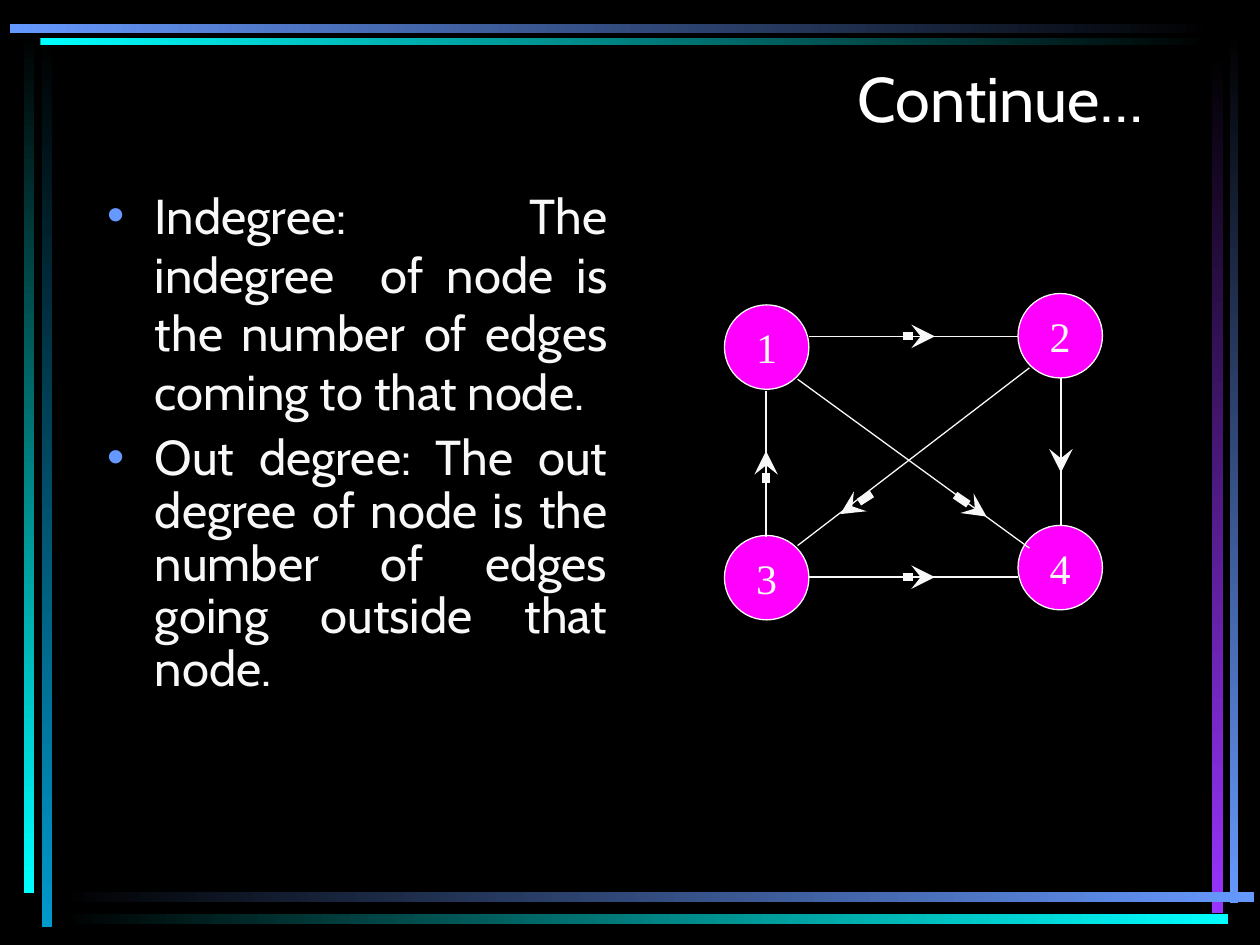
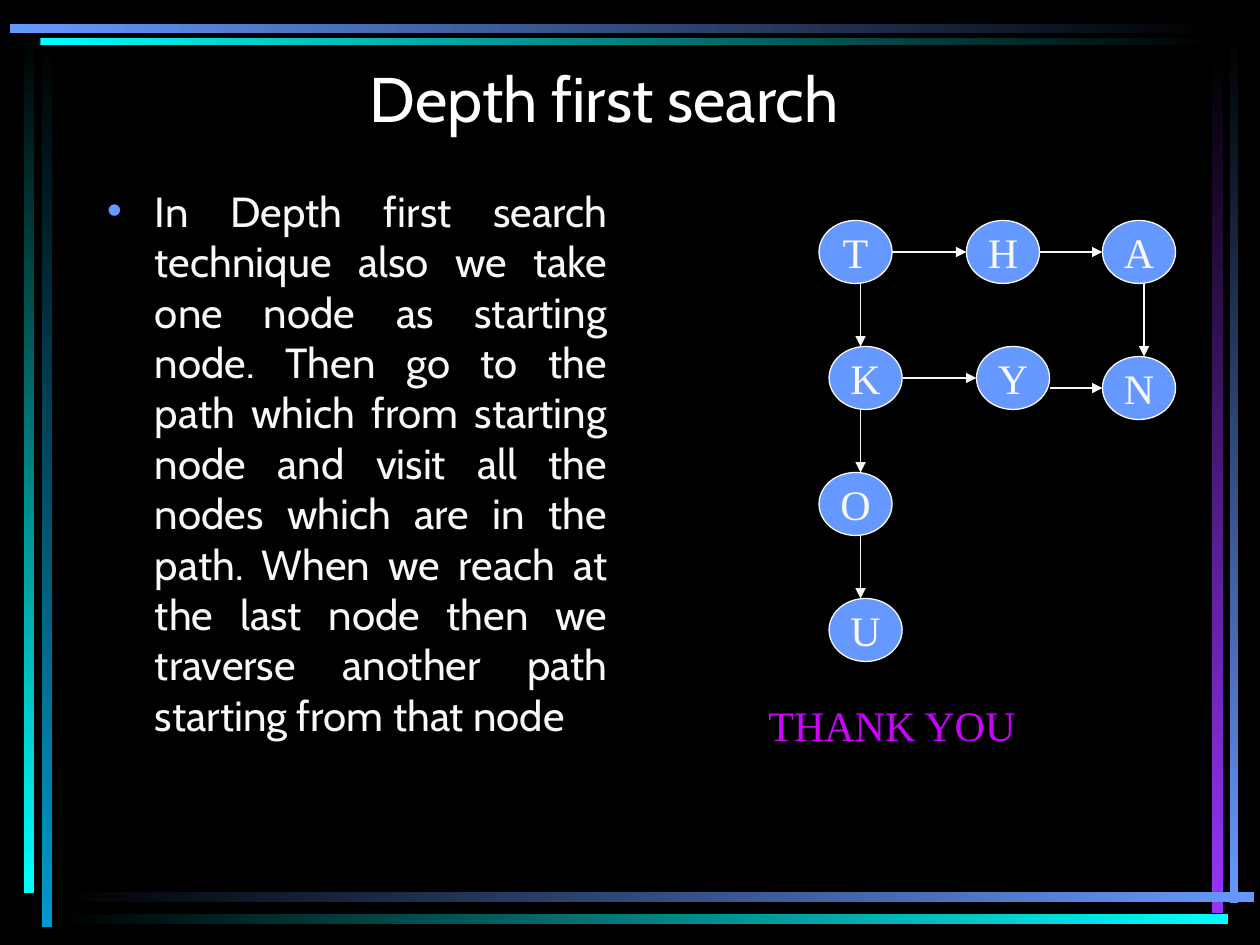
"""Build two slides on graph degrees and depth first search."""
import lxml.etree
import pptx
import pptx.dml.color
import pptx.enum.shapes
import pptx.enum.text
import pptx.oxml.ns
import pptx.util

Inches = pptx.util.Inches
Pt = pptx.util.Pt
ALIGN = pptx.enum.text.PP_ALIGN
SHAPE = pptx.enum.shapes.MSO_SHAPE
BLACK, WHITE, PALE = "000000", "FFFFFF", "F8F8F8"
BLUE, CYAN, TEAL = "6699FF", "00FFFF", "0099CC"
PURPLE, PINK, VIOLET = "9933FF", "FF00FF", "CC00FF"
SANS, SERIF = "Cabin", "Times New Roman"
DOWN, RIGHT = 270, 0
BANDS = [
    (0.33, 0.28, 0.08, 7.08, BLACK, TEAL, DOWN),
    (0.19, 0.25, 0.08, 6.84, BLACK, CYAN, DOWN),
    (9.76, 0.24, 0.07, 6.93, BLACK, BLUE, DOWN),
    (9.62, 0.42, 0.09, 6.83, BLACK, PURPLE, DOWN),
    (0.45, 7.08, 9.5, 0.08, BLACK, BLUE, RIGHT),
    (0.45, 7.25, 9.3, 0.08, BLACK, CYAN, RIGHT),
    (0.32, 0.3, 9.32, 0.06, CYAN, BLACK, RIGHT),
    (0.08, 0.19, 9.56, 0.07, BLUE, BLACK, RIGHT),
]


def color(code):
    return pptx.dml.color.RGBColor.from_string(code)


def add_tag(parent, name, **attrs):
    return lxml.etree.SubElement(parent, pptx.oxml.ns.qn(name), **attrs)


def set_font(para, size, face, code):
    para.font.size = Pt(size)
    para.font.name = face
    para.font.color.rgb = color(code)


def place(shape, left, top, width, height):
    shape.left, shape.top = Inches(left), Inches(top)
    shape.width, shape.height = Inches(width), Inches(height)


def add_bands(deck, slide):
    tree = deck.slide_master.shapes.element
    for i, (left, top, width, height, start, end, angle) in enumerate(BANDS):
        band = slide.shapes.add_shape(SHAPE.RECTANGLE, Inches(left), Inches(top),
                                      Inches(width), Inches(height))
        band.shadow.inherit = False
        band.line.fill.background()
        band.fill.gradient()
        band.fill.gradient_angle = angle
        for stop, code in zip(band.fill.gradient_stops, (start, end)):
            stop.color.rgb = color(code)
        band.name = f"Band {i + 1}"
        band.element.nvSpPr.cNvPr.set("id", str(20 + i))
        tree.insert(2 + i, band.element)


def add_title(slide, text, align):
    title = slide.shapes.title
    place(title, 0.42, 0.42, 8.75, 0.92)
    frame = title.text_frame
    frame.text = text
    frame.auto_size = pptx.enum.text.MSO_AUTO_SIZE.NONE
    frame.vertical_anchor = pptx.enum.text.MSO_ANCHOR.TOP
    para = frame.paragraphs[0]
    para.alignment = align
    set_font(para, 36, SANS, WHITE)


def add_list(slide, items, size):
    body = slide.placeholders[1]
    place(body, 0.75, 1.42, 4.17, 5.08)
    frame = body.text_frame
    frame.text = "\n".join(text for text, _ in items)
    frame.auto_size = pptx.enum.text.MSO_AUTO_SIZE.NONE
    for i, (para, (_, space)) in enumerate(zip(frame.paragraphs, items)):
        para.alignment = ALIGN.JUSTIFY
        para.line_spacing = space
        para.space_before = Pt(7 if i else 0)
        props = para._p.get_or_add_pPr()
        props.set("marL", str(Inches(0.38)))
        props.set("indent", str(-Inches(0.38)))
        add_tag(add_tag(props, "a:buClr"), "a:srgbClr", val=BLUE)
        add_tag(props, "a:buChar", char="•")
        set_font(para, size, SANS, PALE)


def add_node(slide, label, left, top, width, height, code):
    node = slide.shapes.add_shape(SHAPE.OVAL, Inches(left), Inches(top),
                                  Inches(width), Inches(height))
    node.shadow.inherit = False
    node.fill.solid()
    node.fill.fore_color.rgb = color(code)
    node.line.color.rgb = color(PALE)
    node.line.width = Pt(0.75)
    frame = node.text_frame
    frame.word_wrap = False
    frame.text = label
    frame.paragraphs[0].alignment = ALIGN.CENTER
    set_font(frame.paragraphs[0], 24, SERIF, PALE)


def add_edge(slide, ends, width=0.75, head=None):
    edge = slide.shapes.add_connector(pptx.enum.shapes.MSO_CONNECTOR.STRAIGHT,
                                      *(Inches(n) for n in ends))
    edge.line.color.rgb = color(PALE)
    edge.line.width = Pt(width)
    props = edge.element.spPr
    if head:
        add_tag(props.find(pptx.oxml.ns.qn("a:ln")), "a:tailEnd", type=head)
    add_tag(props, "a:effectLst")


def add_note(slide, text, left, top, width, height):
    box = slide.shapes.add_textbox(Inches(left), Inches(top),
                                   Inches(width), Inches(height))
    box.text_frame.word_wrap = True
    box.text_frame.text = text
    set_font(box.text_frame.paragraphs[0], 24, SERIF, VIOLET)


def fill_degree(slide):
    add_title(slide, "Continue…", ALIGN.RIGHT)
    add_list(slide, [
        ("Indegree: The indegree  of node is the number of edges coming "
         "to that node.", 1.0),
        ("Out degree: The out degree of node is the number of edges going "
         "outside that node.", 0.9),
    ], 28)
    for label, left, top in [("1", 5.75, 2.42), ("2", 8.08, 2.33),
                             ("4", 8.08, 4.17), ("3", 5.75, 4.25)]:
        add_node(slide, label, left, top, 0.67, 0.67, PINK)
    for ends in [(6.08, 3.1, 6.08, 4.26), (6.42, 4.58, 8.08, 4.58),
                 (8.42, 3, 8.42, 4.17), (6.42, 2.67, 8.08, 2.67),
                 (6.33, 3.01, 8.17, 4.35), (6.33, 4.33, 8.17, 2.92)]:
        add_edge(slide, ends)
    for ends in [(7.58, 3.93, 7.83, 4.1), (6.92, 3.92, 6.67, 4.08),
                 (7.17, 2.67, 7.42, 2.67), (7.17, 4.58, 7.42, 4.58),
                 (8.42, 3.58, 8.42, 3.75), (6.08, 3.83, 6.08, 3.58)]:
        add_edge(slide, ends, 4.5, "stealth")


def fill_search(slide):
    add_title(slide, "Depth first search", ALIGN.CENTER)
    add_list(slide, [
        ("In Depth first search technique also we take one node as starting "
         "node. Then go to the path which from starting node and visit all "
         "the nodes which are in the path. When we reach at the last node "
         "then we traverse another path starting from that node", 1.0),
    ], 24)
    for label, left, top in [("T", 6.5, 1.75), ("K", 6.58, 2.75),
                             ("N", 8.75, 2.83), ("Y", 7.75, 2.75),
                             ("H", 7.67, 1.75), ("A", 8.75, 1.75),
                             ("U", 6.58, 4.75), ("O", 6.5, 3.75)]:
        add_node(slide, label, left, top, 0.58, 0.5, BLUE)
    across = [(7.08, 8.25 - 0.58, 2), (8.25, 8.75, 2),
              (8.33, 8.75, 3.08), (7.17, 7.75, 3)]
    for start, end, y in across:
        add_edge(slide, (start, y, end, y), head="triangle")
    down = [(6.83, y, y + 0.5) for y in (2.25, 3.25, 4.25)]
    for x, start, end in down + [(9.08, 2.25, 2.83)]:
        add_edge(slide, (x, start, x, end), head="triangle")
    add_note(slide, "THANK YOU", 6, 5.5, 3.25, 0.5)


def main():
    deck = pptx.Presentation()
    deck.slide_width, deck.slide_height = Inches(10), Inches(7.5)
    ground = deck.slide_master.background.fill
    ground.solid()
    ground.fore_color.rgb = color(BLACK)
    layout = deck.slide_layouts[1]
    first = deck.slides.add_slide(layout)
    add_bands(deck, first)
    fill_degree(first)
    fill_search(deck.slides.add_slide(layout))
    deck.save("out.pptx")


if __name__ == "__main__":
    main()
